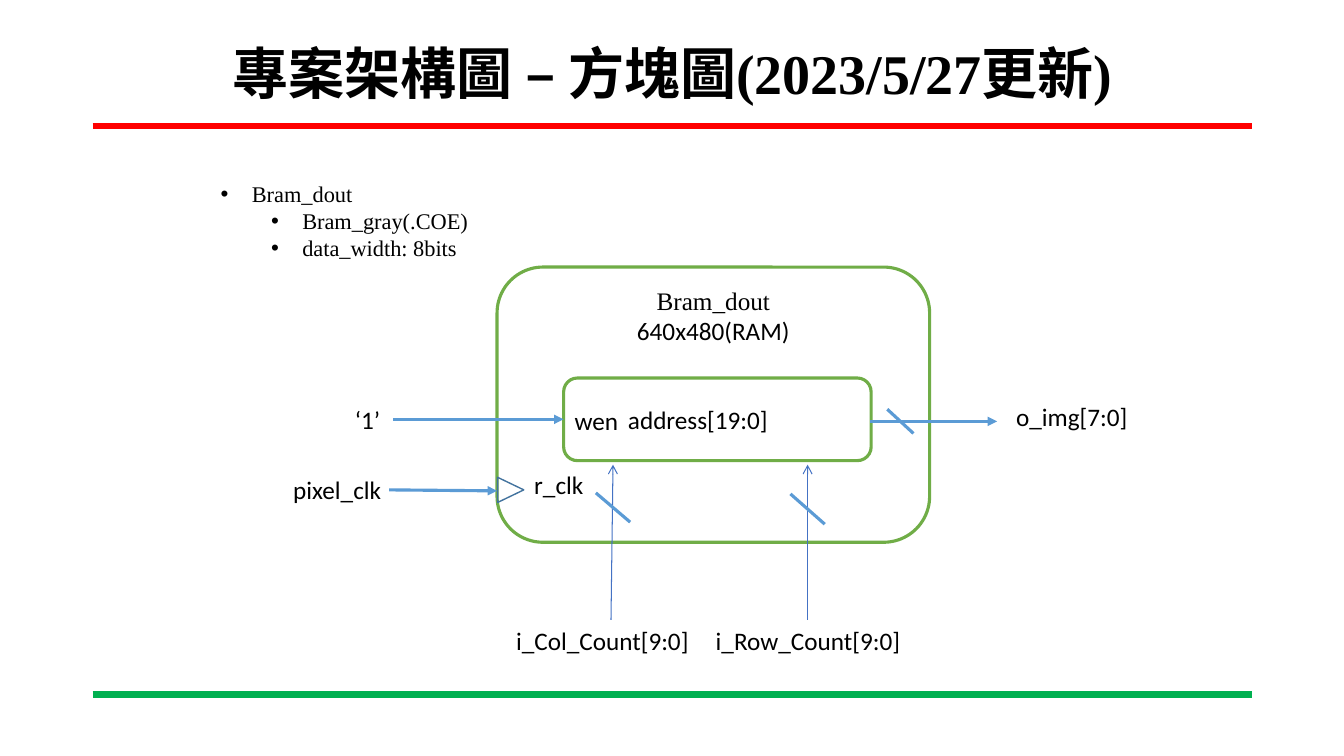
from lxml.etree import SubElement as Sub
from pptx import Presentation
from pptx.dml.color import RGBColor as RGB
from pptx.enum.shapes import MSO_CONNECTOR as Conn, MSO_SHAPE as Kind
from pptx.enum.text import MSO_ANCHOR as Anchor, PP_ALIGN as Align
from pptx.oxml import parse_xml
from pptx.oxml.ns import nsdecls, qn
from pptx.util import Inches, Pt

HUES = {"black": "000000", "white": "FFFFFF", "red": "FF0000",
        "green": "00B050", "box": "70AD47", "wire": "5B9BD5",
        "thin": "4472C4", "clock": "43739E"}
SERIF, SANS, HAN = "Times New Roman", "Calibri", "Noto Sans CJK SC"


def hue(name):
    return RGB.from_string(HUES[name])


def write(frame, lines, size=18, align=Align.LEFT, bold=False):
    """Fill a text frame with (text, font) lines."""
    for i, (text, font) in enumerate(lines):
        para = frame.add_paragraph() if i else frame.paragraphs[0]
        para.text = text
        para.alignment = align
        para.font.name, para.font.size = font, Pt(size)
        para.font.bold = bold
        para.font.color.rgb = hue("black")


def label(slide, at, lines, **look):
    frame = slide.shapes.add_textbox(*map(Inches, at)).text_frame
    frame.word_wrap = True
    write(frame, lines, **look)
    return frame


def outline(slide, kind, at, line, width, fill=None):
    shape = slide.shapes.add_shape(kind, *map(Inches, at))
    shape.shadow.inherit = False
    if fill:
        shape.fill.solid()
        shape.fill.fore_color.rgb = hue(fill)
    else:
        shape.fill.background()
    shape.line.color.rgb, shape.line.width = hue(line), Pt(width)
    return shape


def block(slide, at, lines, align, anchor):
    shape = outline(slide, Kind.ROUNDED_RECTANGLE, at, "box", 2.25, "white")
    shape.text_frame.vertical_anchor = anchor
    write(shape.text_frame, lines, align=align)


def wire(slide, ends, color="wire", width=2.25, head=None):
    link = slide.shapes.add_connector(Conn.STRAIGHT, *map(Inches, ends))
    link.line.color.rgb, link.line.width = hue(color), Pt(width)
    if head:
        Sub(link.line._get_or_add_ln(), qn("a:tailEnd"), type=head)
    Sub(link._element.spPr, qn("a:effectLst"))


def bullet(para, left):
    props = para._p.get_or_add_pPr()
    props.set("marL", str(Inches(left)))
    props.set("indent", str(Inches(-0.31)))
    for i, tag in enumerate(('buFont typeface="Arial"', 'buChar char="•"')):
        props.insert(i, parse_xml(f"<a:{tag} {nsdecls('a')}/>"))


def title(slide):
    frame = label(slide, (0.92, 0.36, 11.5, 0.79),
                  [("專案架構圖 – 方塊圖(2023/5/27更新)", SERIF)],
                  size=40, align=Align.CENTER, bold=True)
    frame.vertical_anchor = Anchor.MIDDLE
    para = frame.paragraphs[0]
    para.line_spacing = 0.9
    Sub(para.runs[0]._r.get_or_add_rPr(), qn("a:ea"), typeface=HAN)


def main():
    deck = Presentation()
    deck.slide_width, deck.slide_height = Inches(13.33), Inches(7.5)
    slide = deck.slides.add_slide(deck.slide_layouts[6])

    # Rules and title
    for y, color in ((1.25, "red"), (6.89, "green")):
        wire(slide, (0.92, y, 12.42, y), color, 4.5)
    title(slide)

    # Memory notes
    notes = label(slide, (1.59, 1.74, 7.63, 0.91),
                  [(text, SERIF) for text in
                   ("Bram_dout", "Bram_gray(.COE)", "data_width: 8bits")],
                  size=16)
    for para, left in zip(notes.paragraphs, (0.81, 1.31, 1.31)):
        bullet(para, left)

    # Memory, its address port and its clock input
    block(slide, (4.93, 2.65, 4.29, 2.73),
          [("Bram_dout", SERIF), ("640x480(RAM)", SANS)],
          Align.CENTER, Anchor.TOP)
    block(slide, (5.59, 3.75, 3.05, 0.82), [("\taddress[19:0]", SANS)],
          Align.LEFT, Anchor.MIDDLE)
    clock = outline(slide, Kind.ISOSCELES_TRIANGLE,
                    (4.94, 4.73, 0.25, 0.26), "clock", 1)
    clock.rotation = 90

    # Signal wires
    for ends in ((8.63, 4.18, 9.89, 4.18), (3.9, 4.16, 5.59, 4.16),
                 (3.86, 4.86, 4.93, 4.87)):
        wire(slide, ends, head="triangle")
    for start, end in ((6.06, 6.08), (8.01, 8.01)):
        wire(slide, (start, 6.15, end, 4.61), "thin", 0.75, "arrow")

    # Bus slashes
    for ends in ((8.8, 4.06, 9.06, 4.3), (7.84, 4.9, 8.18, 5.2),
                 (5.91, 4.89, 6.25, 5.18)):
        wire(slide, ends)

    # Signal names
    for text, x, y, width in (
            ("r_clk", 5.2, 4.61, 0.7), ("o_img[7:0]", 9.98, 3.93, 1.36),
            ("pixel_clk", 2.81, 4.66, 1.13), ("wen", 5.6, 3.97, 0.7),
            ("‘1’", 3.42, 3.96, 0.48), ("i_Col_Count[9:0]", 5.02, 6.15, 2.08),
            ("i_Row_Count[9:0]", 7.0, 6.15, 2.05)):
        label(slide, (x, y, width, 0.4), [(text, SANS)])

    deck.save("out.pptx")


main()
